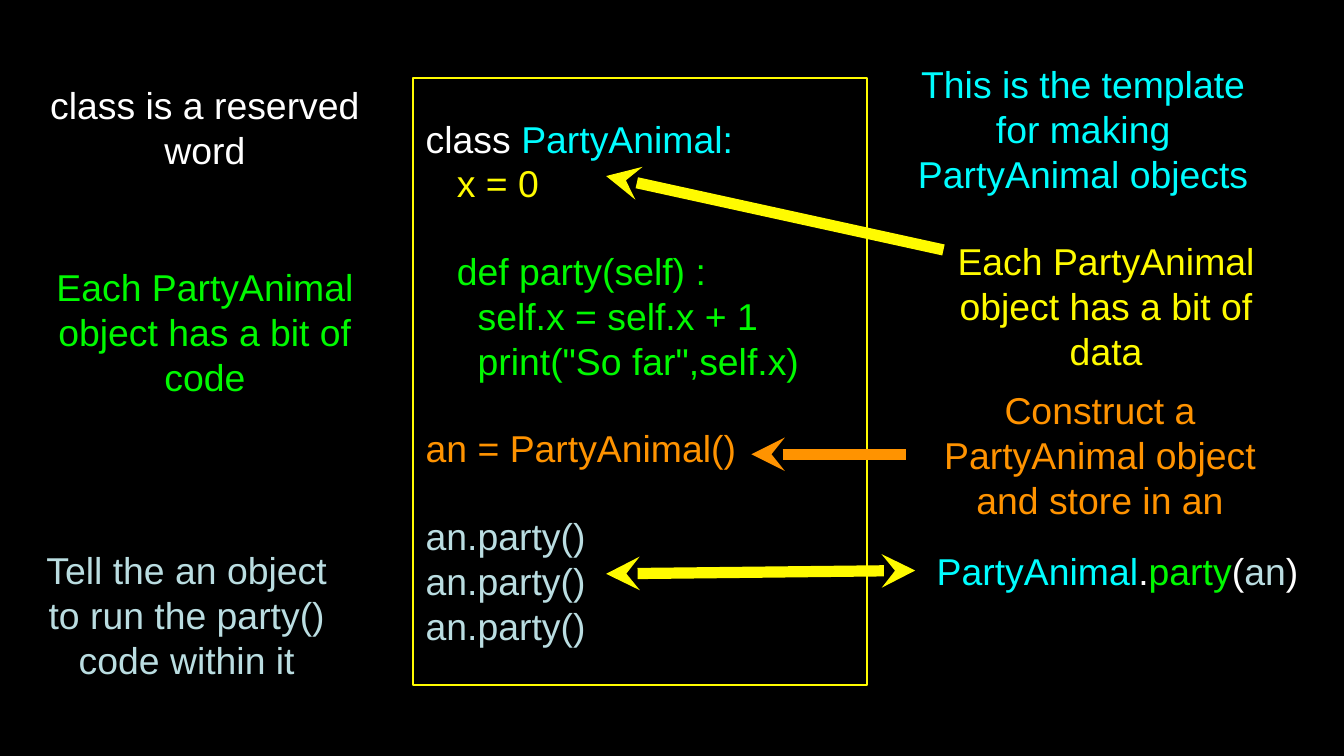
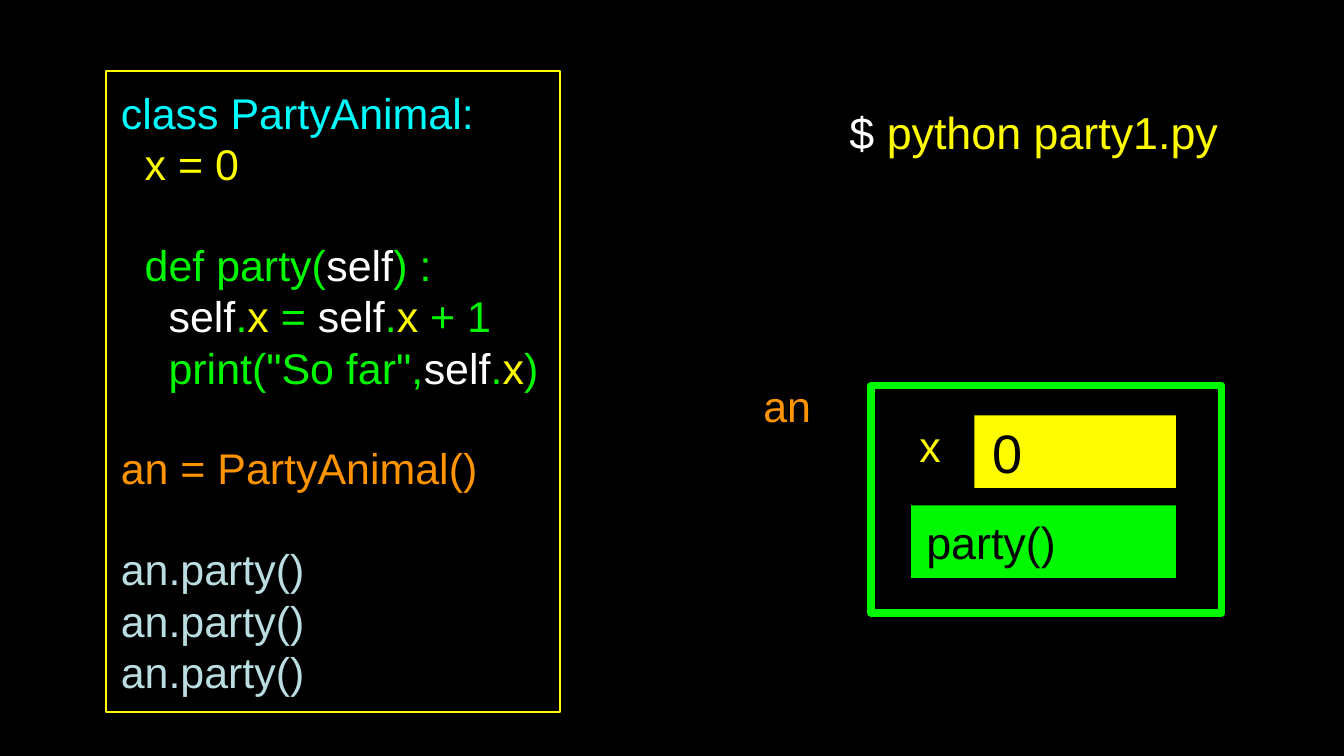
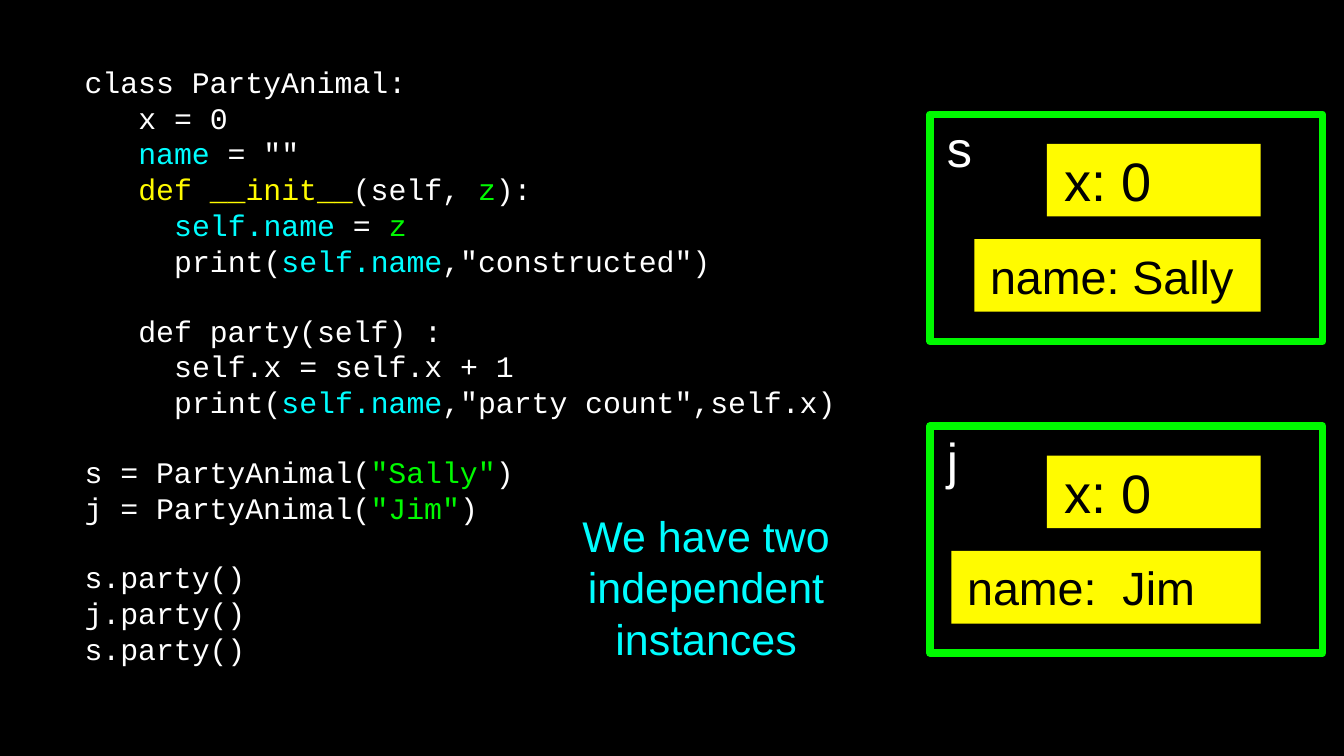
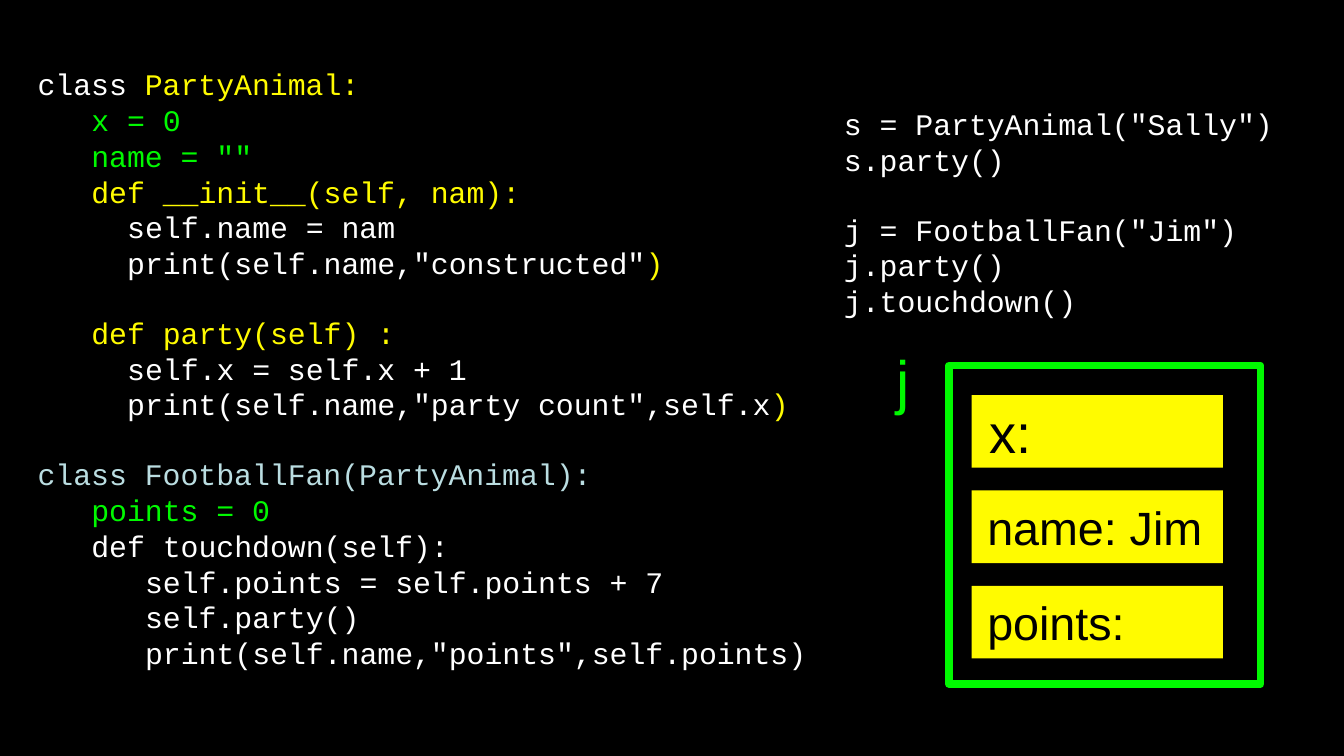
from pptx import Presentation
from pptx.dml.color import RGBColor as RGB
from pptx.enum.shapes import MSO_CONNECTOR as LINK, MSO_SHAPE as SHAPE
from pptx.enum.text import MSO_ANCHOR as ANCHOR, PP_ALIGN as ALIGN
from pptx.oxml.ns import qn
from pptx.util import Inches, Pt
from lxml.etree import SubElement as Sub

INK = {"w": "FFFFFF", "k": "000000", "y": "FFFB00", "g": "00F900",
       "c": "00FDFF", "o": "FF9300", "b": "BADDE1"}
# Width of a space and height of a line, as shares of the font size
FACE = {"Arial": (0.278, 1.15), "Courier New": (0.6, 1.133)}
MONO = "Courier New"

prs = Presentation()
prs.slide_width = Inches(10)
prs.slide_height = prs.slide_width * 9 // 16
CELL = prs.slide_width // 100  # the grid has 100 columns of square cells


def paint(part, key):
    """Give a fill or a font the colour of an INK key."""
    if hasattr(part, "solid"):
        part.solid()
        part.fore_color.rgb = RGB.from_string(INK[key])
    else:
        part.color.rgb = RGB.from_string(INK[key])


def box(host, at, text="", size=20, face="Arial", fill=None, line=None,
        mid=False, top=False):
    """Add a text box, or a rectangle when a fill or a (key, width) line is given.

    In text, ^ and an INK key start a colour that lasts until the next one.
    Leading spaces become an indent, and an empty line becomes space before.
    """
    area = [round(n * CELL) for n in at]
    if fill or line:
        shape = host.add_shape(SHAPE.RECTANGLE, *area)
        shape.shadow.inherit = False
        if fill:
            paint(shape.fill, fill)
        else:
            shape.fill.background()
        if line:
            paint(shape.line.fill, line[0])
            shape.line.width = Pt(line[1])
        else:
            shape.line.fill.background()
    else:
        shape = host.add_textbox(*area)
    if not text:
        return shape

    frame = shape.text_frame
    frame.word_wrap = True
    frame.margin_left = frame.margin_right = Inches(0.02)
    frame.margin_top = frame.margin_bottom = Inches(0.02)
    frame.vertical_anchor = ANCHOR.TOP if top else ANCHOR.MIDDLE
    space, high = FACE[face]
    para, gap, key = None, 0, "w"
    for row in text.strip("\n").split("\n"):
        if not row:
            gap += 1
            continue
        para = frame.add_paragraph() if para else frame.paragraphs[0]
        para.alignment = ALIGN.CENTER if mid else ALIGN.LEFT
        para.space_before = Pt(round(gap * high * size, 1))
        gap = 0
        para.font.name, para.font.size = face, Pt(size)
        code = row.lstrip(" ")
        dent = Pt((len(row) - len(code)) * space * size)
        props = para._p.get_or_add_pPr()
        props.set("marL", str(dent))
        props.set("indent", "0")
        first, *rest = code.split("^")
        bits = [(key, first)] if first else []
        bits += [(bit[0], bit[1:]) for bit in rest]
        key = bits[-1][0]
        for ink, words in bits:
            run = para.add_run()
            run.text = words
            if len(bits) > 1:
                paint(run.font, ink)
        if len(bits) == 1:
            paint(para.font, key)
    return shape


paint(prs.slide_master.background.fill, "k")
pages = [prs.slides.add_slide(prs.slide_layouts[6]).shapes for _ in range(4)]

# Slide 1: the class explained part by part
page = pages[0]
box(page, (30.7, 5.8, 33.8, 45.2), """
 ^wclass ^cPartyAnimal:
    ^yx = 0

    ^gdef party(self) :
      self.x = self.x + 1
      print("So far",self.x)

 ^oan = PartyAnimal()

 ^ban.party()
 an.party()
 an.party()
""", line=("y", 1))

notes = [
    ((67.4, 3.9, 26.4, 11.3), "^cThis is the template for making PartyAnimal objects"),
    ((0.8, 5.8, 28.9, 7.3), "^wclass is a reserved word"),
    ((68.4, 17.4, 27.8, 10.7), "^yEach PartyAnimal object has a bit of data"),
    ((0.8, 19.3, 28.9, 10.7), "^gEach PartyAnimal object has a bit of code"),
    ((2.7, 40.4, 22.4, 10.7), "^bTell the an object to run the party() code within it"),
]
for at, text in notes:
    box(page, at, text, mid=True)
make = box(page, (67.4, 28.9, 28.9, 9.8),
           "^oConstruct a PartyAnimal object and store in an", mid=True)
call = box(page, (68.1, 40.4, 30.1, 4.1),
           "^cPartyAnimal^w.^gparty^w(^ban^w)", mid=True)

arrows = [
    ((45.1, 13.1, 70.2, 18.6), "y", ["headEnd"], None),
    ((45.1, 42.7, 68.1, 42.4), "y", ["headEnd", "tailEnd"], call),
    ((55.9, 33.8, 67.4, 33.8), "o", ["headEnd"], make),
]
for ends, key, tips, goal in arrows:
    arrow = page.add_connector(LINK.STRAIGHT, *[round(n * CELL) for n in ends])
    if goal:
        arrow.end_connect(goal, 1)
    paint(arrow.line.fill, key)
    arrow.line.width = Pt(6)
    for tip in tips:
        Sub(arrow.line._get_or_add_ln(), qn("a:" + tip), type="stealth")
    Sub(arrow._element.spPr, qn("a:effectLst"))

# Slide 2: the object that is made
page = pages[1]
box(page, (7.9, 5.3, 33.8, 47.7), """
 ^cclass PartyAnimal:
   ^yx = 0

   ^gdef party(^wself^g) :
     ^wself^g.^yx^g = ^wself^g.^yx^g + 1
     ^gprint("So far",^wself^g.^yx^g)

 ^oan = PartyAnimal()

 ^ban.party()
 an.party()
 an.party()
""", 23, line=("y", 1))
box(page, (64.8, 28.7, 26.1, 16.9), line=("g", 4))
box(page, (72.5, 30.9, 15, 5.4), " ^k0", 29, fill="y")
box(page, (67.8, 37.6, 19.7, 5.4), " ^kparty()", 24, fill="g")
box(page, (56.6, 28.1, 6, 4.1), "^oan", 23)
box(page, (67.1, 31.2, 4.2, 3.8), "^yx", 23, mid=True)
box(page, (63, 7.7, 33.8, 4.2), "^w$ ^ypython party1.py", 24)

# Slide 3: two instances, one below the other
page = pages[2]
people = [("s", "name: Sally", 72.5), ("j", "name:  Jim", 70.8)]
for i, (name, label, left) in enumerate(people):
    y = 8.5 + 23.2 * i
    team = page.add_group_shape().shapes
    box(team, (69.2, y, 29.2, 16.9), " ^w" + name, 27, line=("g", 4), top=True)
    box(team, (77.9, y + 2.2, 15.9, 5.4), " ^kx: 0", 29, fill="y")
    box(team, (left, y + 9.3, 93.8 - left, 5.4), " ^k" + label, 25, fill="y")
box(page, (39.3, 38, 26.5, 11.3), "^cWe have two independent instances", 23, mid=True)
box(page, (6.1, 1.9, 61.6, 50.5), """
^wclass PartyAnimal:
   x = 0
   ^cname^w = ""
   ^ydef __init__^w(self, ^gz^w):
     ^cself.name^w = ^gz
     ^wprint(^cself.name^w,"constructed")

   def party(self) :
     self.x = self.x + 1
     print(^cself.name^w,"party count",self.x)

s = PartyAnimal(^g"Sally"^w)
j = PartyAnimal(^g"Jim"^w)

s.party()
j.party()
s.party()
""", 16, MONO)

# Slide 4: a class that extends another
page = pages[3]
box(page, (62.6, 6.6, 35.6, 18.4), """
^ws = PartyAnimal("Sally")
s.party()

j = FootballFan("Jim")
j.party()
j.touchdown()
""", 16, MONO)
box(page, (70.6, 27.2, 23.2, 23.7), line=("g", 4))
for i, (label, size) in enumerate([("x:", 29), ("name: Jim", 25), ("points:", 25)]):
    box(page, (72.3, 29.4 + 7.1 * i, 18.7, 5.4), " ^k" + label, size, fill="y")
box(page, (66.5, 25.4, 3, 5.4), "^gj", 32, top=True)
box(page, (2.6, 1.7, 58.5, 51.4), """
^wclass ^yPartyAnimal:
   ^gx = 0
   name = ""
   ^ydef __init__(self, nam):
     ^wself.name = nam
     print(self.name,"constructed"^y)

   def party(self) :
     ^wself.x = self.x + 1
     print(self.name,"party count",self.x^y)

^bclass FootballFan(PartyAnimal):
   ^gpoints = 0
   ^wdef touchdown(self):
      self.points = self.points + 7
      self.party()
      print(self.name,"points",self.points)
""", 16, MONO)

prs.save("out.pptx")
